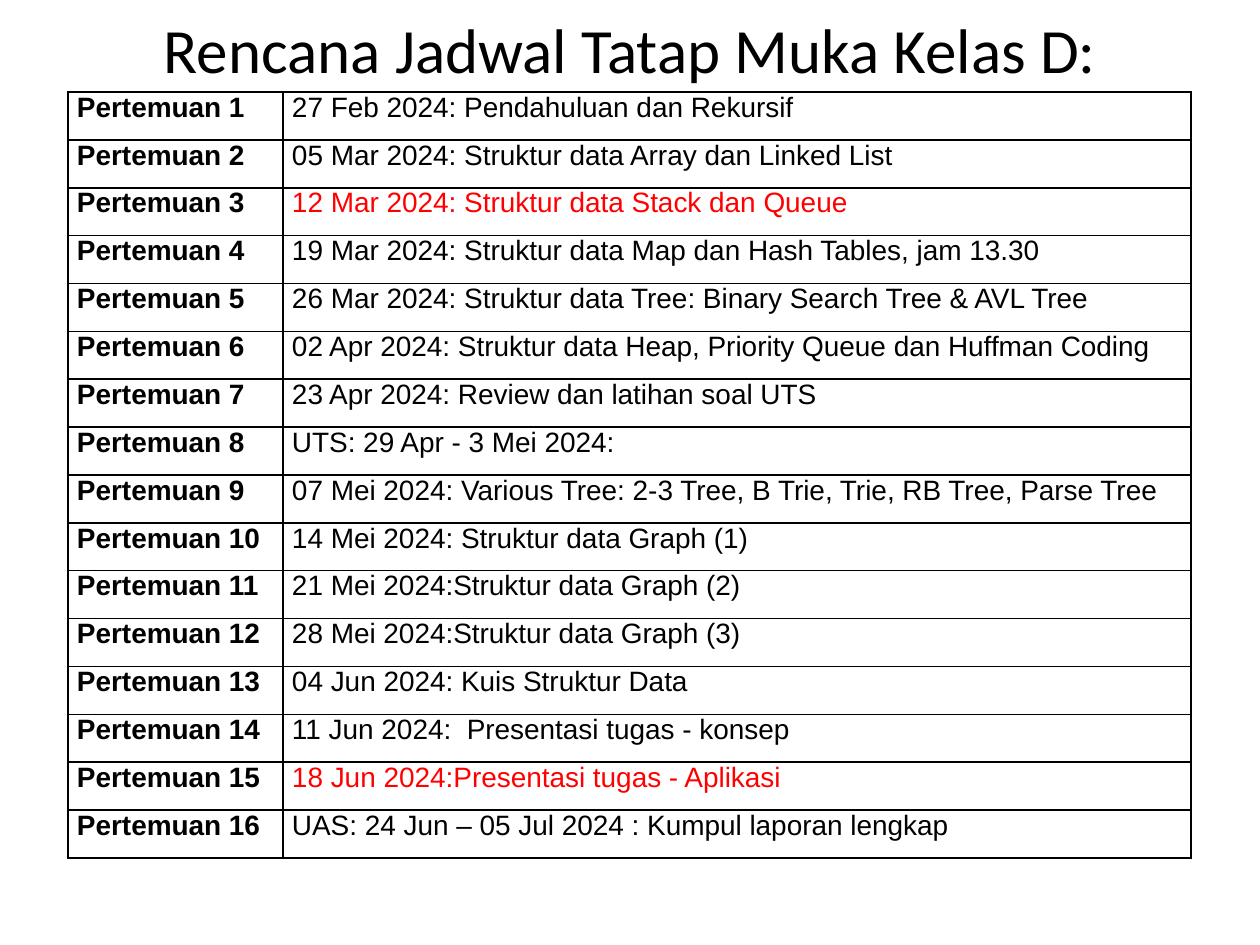
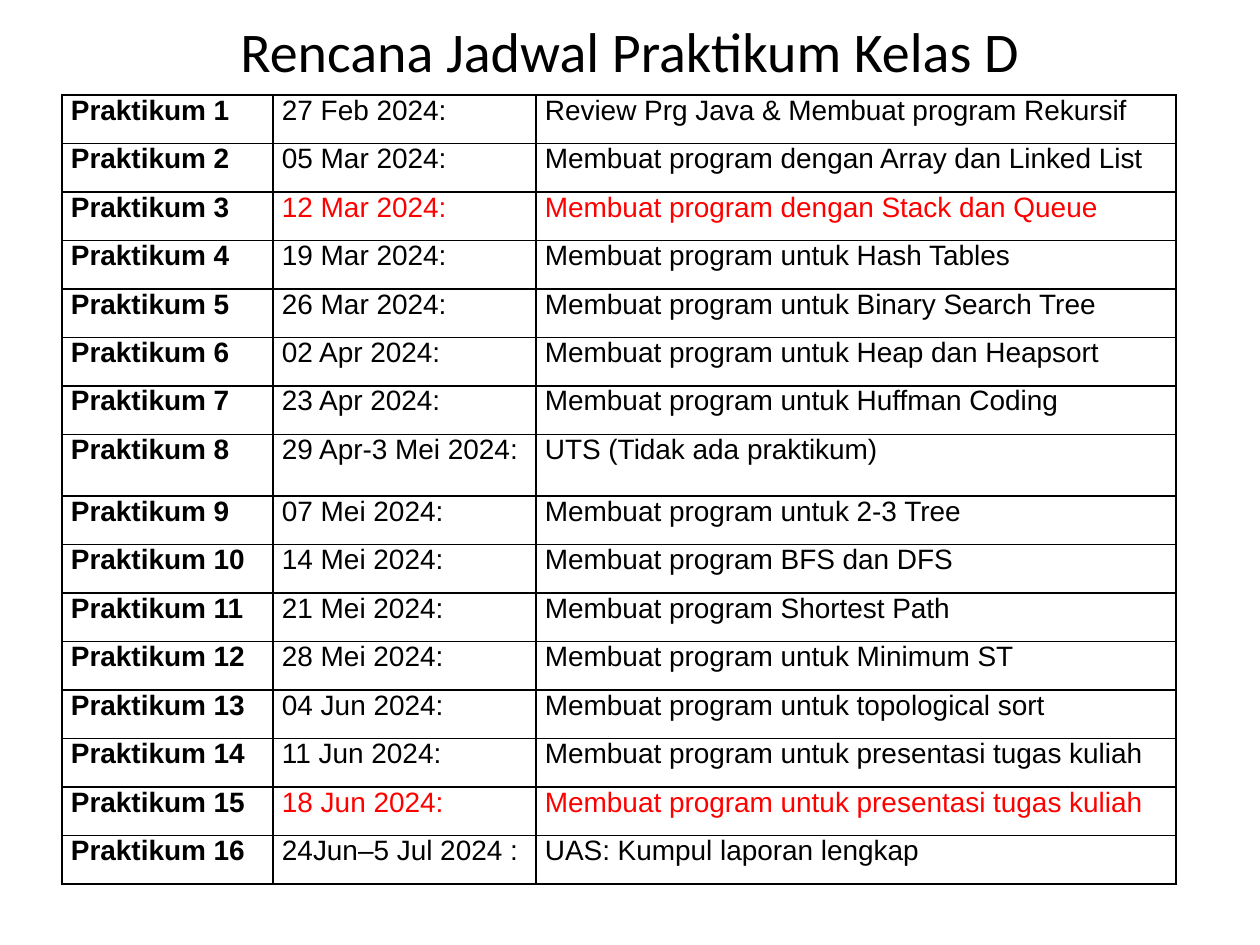
import lxml.etree
import pptx
import pptx.dml.color
import pptx.enum.text
import pptx.oxml.ns
import pptx.util

EMU_PER_PX = 914400 / 126
BLACK = "000000"
RED = "FF0000"
RED_MEETINGS = (3, 15)
TITLE_FONT = "Calibri"
TABLE_FONT = "Arial"


def px(length):
    return pptx.util.Emu(round(length * EMU_PER_PX))


def style_paragraph(paragraph, font_name, size, color, alignment, bold=False):
    paragraph.alignment = alignment
    for run in paragraph.runs:
        run.font.name = font_name
        run.font.size = pptx.util.Pt(size)
        run.font.bold = bold
        run.font.color.rgb = pptx.dml.color.RGBColor.from_string(color)


lectures = [
    ("27 Feb 2024: Pendahuluan dan Rekursif",),
    ("05 Mar 2024: Struktur data Array dan Linked List",),
    ("12 Mar 2024: Struktur data Stack dan Queue",),
    ("19 Mar 2024: Struktur data Map dan Hash Tables, jam 13.30",),
    ("26 Mar 2024: Struktur data Tree: Binary Search Tree & AVL Tree",),
    ("02 Apr 2024: Struktur data Heap, Priority Queue dan Huffman Coding",),
    ("23 Apr 2024: Review dan latihan soal UTS",),
    ("UTS: 29 Apr - 3 Mei 2024:",),
    ("07 Mei 2024: Various Tree: 2-3 Tree, B Trie, Trie, RB Tree, Parse Tree",),
    ("14 Mei 2024: Struktur data Graph (1)",),
    ("21 Mei 2024:Struktur data Graph (2)",),
    ("28 Mei 2024:Struktur data Graph (3)",),
    ("04 Jun 2024: Kuis Struktur Data",),
    ("11 Jun 2024:  Presentasi tugas - konsep",),
    ("18 Jun 2024:Presentasi tugas - Aplikasi",),
    ("UAS: 24 Jun – 05 Jul 2024 : Kumpul laporan lengkap",),
]

labs = [
    ("27 Feb 2024:", "Review Prg Java & Membuat program Rekursif"),
    ("05 Mar 2024:", "Membuat program dengan Array dan Linked List"),
    ("12 Mar 2024:", "Membuat program dengan Stack dan Queue"),
    ("19 Mar 2024:", "Membuat program untuk Hash Tables"),
    ("26 Mar 2024:", "Membuat program untuk Binary Search Tree"),
    ("02 Apr 2024:", "Membuat program untuk Heap dan Heapsort"),
    ("23 Apr 2024:", "Membuat program untuk Huffman Coding"),
    ("29 Apr-3 Mei 2024:", "UTS (Tidak ada praktikum)"),
    ("07 Mei 2024:", "Membuat program untuk 2-3 Tree"),
    ("14 Mei 2024:", "Membuat program BFS dan DFS"),
    ("21 Mei 2024:", "Membuat program Shortest Path"),
    ("28 Mei 2024:", "Membuat program untuk Minimum ST"),
    ("04 Jun 2024:", "Membuat program untuk topological sort"),
    ("11 Jun 2024:", "Membuat program untuk presentasi tugas kuliah"),
    ("18 Jun 2024:", "Membuat program untuk presentasi tugas kuliah"),
    ("24Jun–5 Jul 2024 :", "UAS: Kumpul laporan lengkap"),
]

schedules = [
    {
        "title": "Rencana Jadwal Tatap Muka Kelas D:",
        "title_size": 36, "title_top": 4, "title_height": 88,
        "label": "Pertemuan", "meetings": lectures,
        "left": 68, "top": 92, "height": 766,
        "column_widths": (215, 908), "tall_rows": {},
    },
    {
        "title": "Rencana Jadwal Praktikum Kelas D",
        "title_size": 32, "title_top": 38, "title_height": 25,
        "label": "Praktikum", "meetings": labs,
        "left": 62, "top": 95, "height": 776,
        "column_widths": (211, 263, 640), "tall_rows": {8: 62},
    },
]

presentation = pptx.Presentation()
presentation.slide_width = px(1260)
presentation.slide_height = px(945)
title_only_layout = presentation.slide_layouts[5]

for schedule in schedules:
    slide = presentation.slides.add_slide(title_only_layout)
    title = slide.shapes.title
    title.left, title.top = px(63), px(schedule["title_top"])
    title.width, title.height = px(1134), px(schedule["title_height"])
    title.text_frame.text = schedule["title"]
    title.text_frame.auto_size = pptx.enum.text.MSO_AUTO_SIZE.NONE
    title.text_frame.vertical_anchor = pptx.enum.text.MSO_ANCHOR.MIDDLE
    style_paragraph(title.text_frame.paragraphs[0], TITLE_FONT, schedule["title_size"],
                    BLACK, pptx.enum.text.PP_ALIGN.CENTER)

    meetings = schedule["meetings"]
    widths = schedule["column_widths"]
    table = slide.shapes.add_table(
        len(meetings), len(widths), px(schedule["left"]), px(schedule["top"]),
        px(sum(widths)), px(schedule["height"])).table
    table.first_row = False
    table.horz_banding = False
    for column, width in zip(table.columns, widths):
        column.width = px(width)

    row_height = schedule["height"] / len(meetings)
    for number, meeting in enumerate(meetings, start=1):
        row = table.rows[number - 1]
        row.height = px(schedule["tall_rows"].get(number, row_height))
        texts = (f"{schedule['label']} {number}", *meeting)
        for column_index, (cell, text) in enumerate(zip(row.cells, texts)):
            is_label = column_index == 0
            cell.margin_left = cell.margin_right = px(9)
            cell.margin_top = cell.margin_bottom = 0
            cell.vertical_anchor = pptx.enum.text.MSO_ANCHOR.TOP
            cell.text_frame.text = text
            color = RED if number in RED_MEETINGS and not is_label else BLACK
            style_paragraph(cell.text_frame.paragraphs[0], TABLE_FONT, 16, color,
                            pptx.enum.text.PP_ALIGN.JUSTIFY, bold=is_label)
            properties = cell._tc.get_or_add_tcPr()
            for side in ("lnL", "lnR", "lnT", "lnB"):
                border = lxml.etree.SubElement(
                    properties, pptx.oxml.ns.qn(f"a:{side}"), w=str(pptx.util.Pt(1)))
                fill = lxml.etree.SubElement(border, pptx.oxml.ns.qn("a:solidFill"))
                lxml.etree.SubElement(fill, pptx.oxml.ns.qn("a:srgbClr"), val=BLACK)
            cell.fill.background()

presentation.save("out.pptx")
